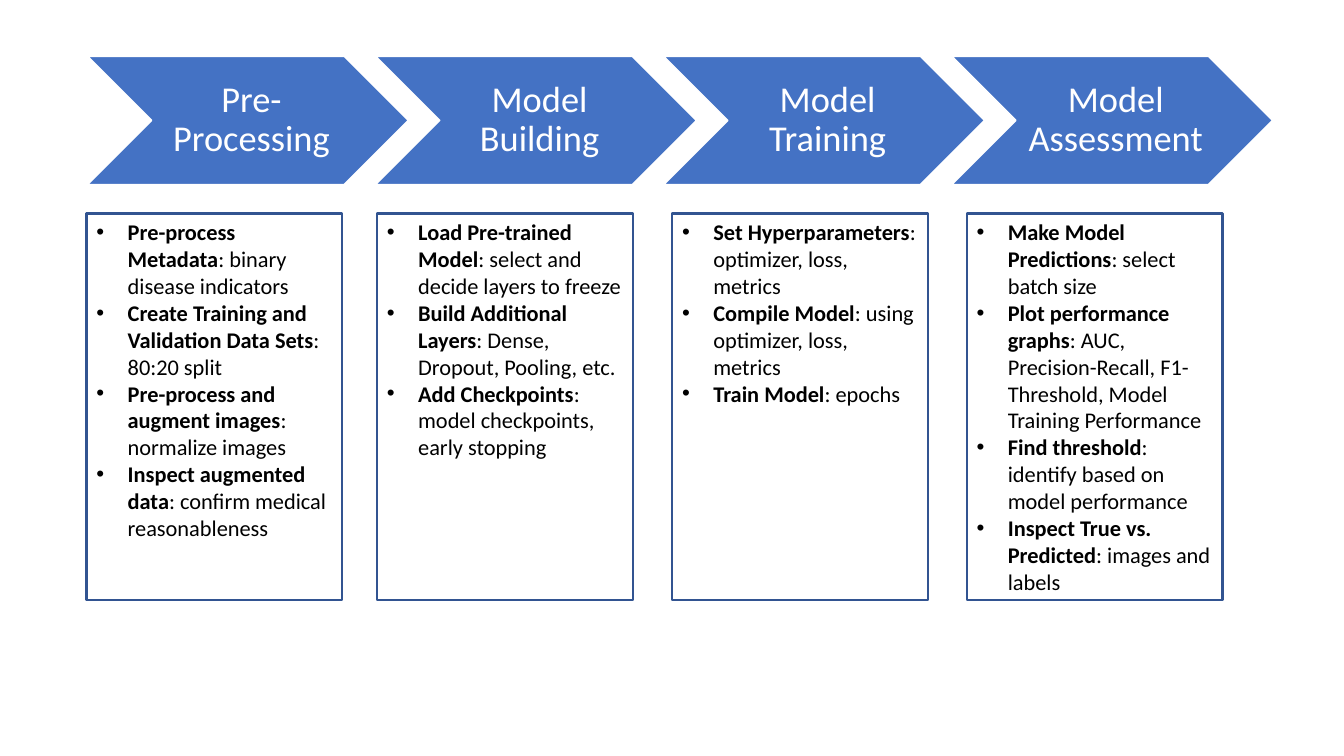
from pptx import Presentation
from pptx.dml.color import RGBColor
from pptx.enum.shapes import MSO_SHAPE
from pptx.enum.text import MSO_ANCHOR, PP_ALIGN
from pptx.oxml.ns import qn
from pptx.util import Cm, Pt
from lxml.etree import SubElement

COLORS = {"blue": "4472C4", "edge": "325491", "white": "FFFFFF", "black": "000000"}
FONT = "Calibri"
INDENT = Cm(0.79)

# Each stage: title, left edge of its box in cm, steps as (name, detail)
STAGES = [
    ("Pre-Processing", 2.18, [
        ("Pre-process Metadata", "binary disease indicators"),
        ("Create Training and Validation Data Sets", "80:20 split"),
        ("Pre-process and augment images", "normalize images"),
        ("Inspect augmented data", "confirm medical reasonableness"),
    ]),
    ("Model Building", 9.5, [
        ("Load Pre-trained Model", "select and decide layers to freeze"),
        ("Build Additional Layers", "Dense, Dropout, Pooling, etc."),
        ("Add Checkpoints", "model checkpoints, early stopping"),
    ]),
    ("Model Training", 16.94, [
        ("Set Hyperparameters", "optimizer, loss, metrics"),
        ("Compile Model", "using optimizer, loss, metrics"),
        ("Train Model", "epochs"),
    ]),
    ("Model Assessment", 24.36, [
        ("Make Model Predictions", "select batch size"),
        ("Plot performance graphs",
         "AUC, Precision-Recall, F1-Threshold, Model Training Performance"),
        ("Find threshold", "identify based on model performance"),
        ("Inspect True vs. Predicted", "images and labels"),
    ]),
]


def color(name):
    """Return the named colour."""
    return RGBColor.from_string(COLORS[name])


def add_text(para, text, size=16, ink="black", bold=False):
    """Add a formatted run to a paragraph."""
    run = para.add_run()
    run.text = text
    font = run.font
    font.name, font.size, font.bold = FONT, Pt(size), bold
    font.color.rgb = color(ink)


def add_form(slide, kind, place, fill, line, width):
    """Add a preset shape at place (cm) and return it with its text frame."""
    shape = slide.shapes.add_shape(kind, *map(Cm, place))
    shape.shadow.inherit = False
    if fill:
        shape.fill.solid()
        shape.fill.fore_color.rgb = color(fill)
    else:
        shape.fill.background()
    shape.line.color.rgb = color(line)
    shape.line.width = Pt(width)
    frame = shape.text_frame
    frame.word_wrap = True
    return frame


def add_arrow(slide, left, title):
    """Add a chevron with the title of a stage."""
    place = (left, 1.42, 8.08, 3.23)
    frame = add_form(slide, MSO_SHAPE.CHEVRON, place, "blue", "white", 1)
    frame.vertical_anchor = MSO_ANCHOR.MIDDLE
    frame.margin_left = Cm(0.28)
    frame.margin_right = frame.margin_top = frame.margin_bottom = Cm(0.1)
    para = frame.paragraphs[0]
    para.alignment = PP_ALIGN.CENTER
    para.line_spacing = 0.9
    add_text(para, title, size=26, ink="white")


def add_bullet(para):
    """Give a paragraph a bullet with a hanging indent."""
    props = para._p.get_or_add_pPr()
    props.set("marL", str(INDENT))
    props.set("indent", str(-INDENT))
    SubElement(props, qn("a:buFont")).set("typeface", "Arial")
    SubElement(props, qn("a:buChar")).set("char", "•")


def add_box(slide, left, steps):
    """Add an outlined box that lists the steps of a stage."""
    place = (left, 5.38, 6.45, 9.75)
    frame = add_form(slide, MSO_SHAPE.RECTANGLE, place, None, "edge", 1.5)
    frame.vertical_anchor = MSO_ANCHOR.TOP
    for i, (name, detail) in enumerate(steps):
        para = frame.add_paragraph() if i else frame.paragraphs[0]
        para.alignment = PP_ALIGN.LEFT
        add_bullet(para)
        add_text(para, name, bold=True)
        add_text(para, f": {detail}")


def main():
    """Build the slide and save it."""
    deck = Presentation()
    deck.slide_width, deck.slide_height = Cm(33.87), Cm(19.05)
    slide = deck.slides.add_slide(deck.slide_layouts[6])
    for i, (title, left, steps) in enumerate(STAGES):
        add_arrow(slide, 2.21 + 7.26 * i, title)
        add_box(slide, left, steps)
    deck.save("out.pptx")


main()
